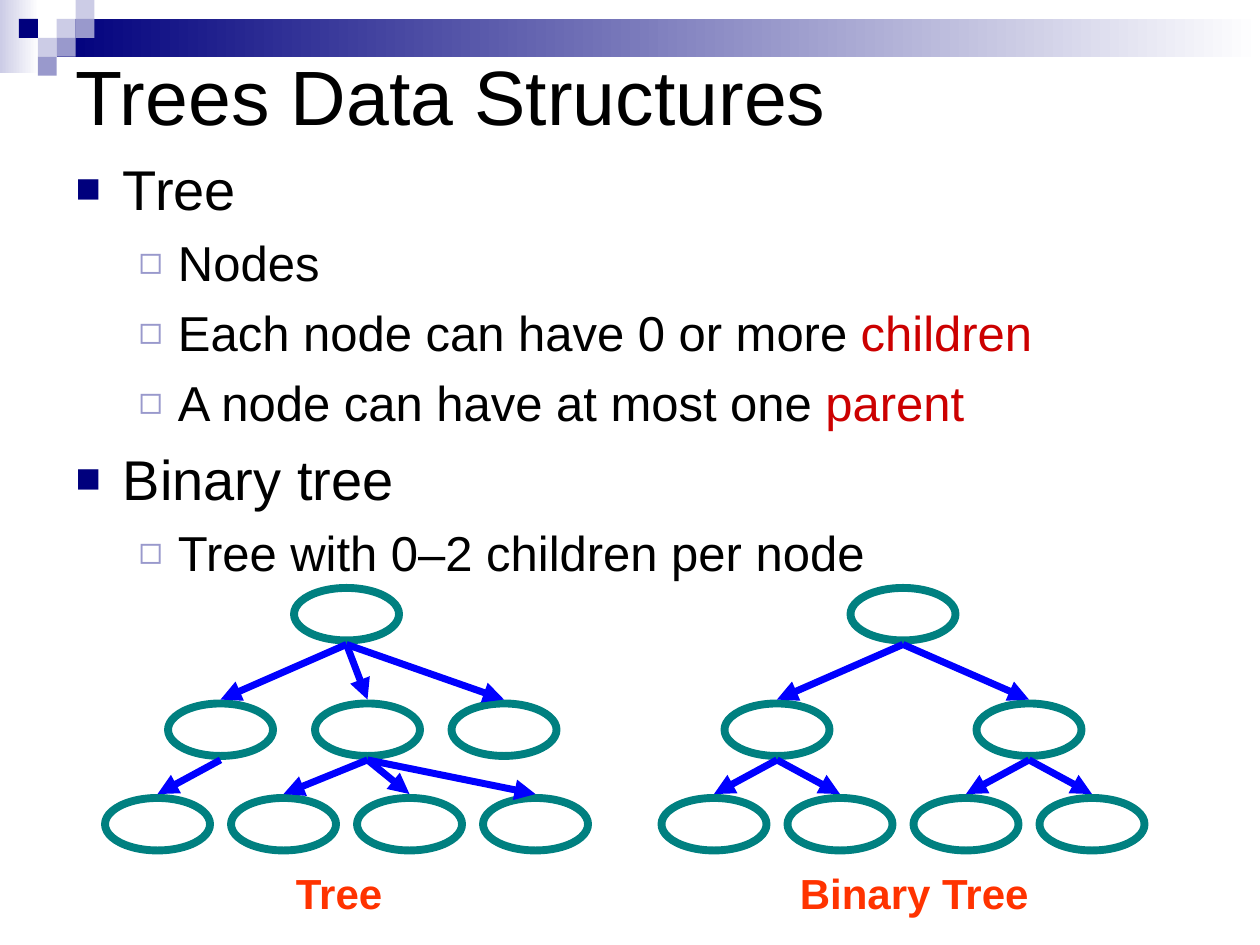
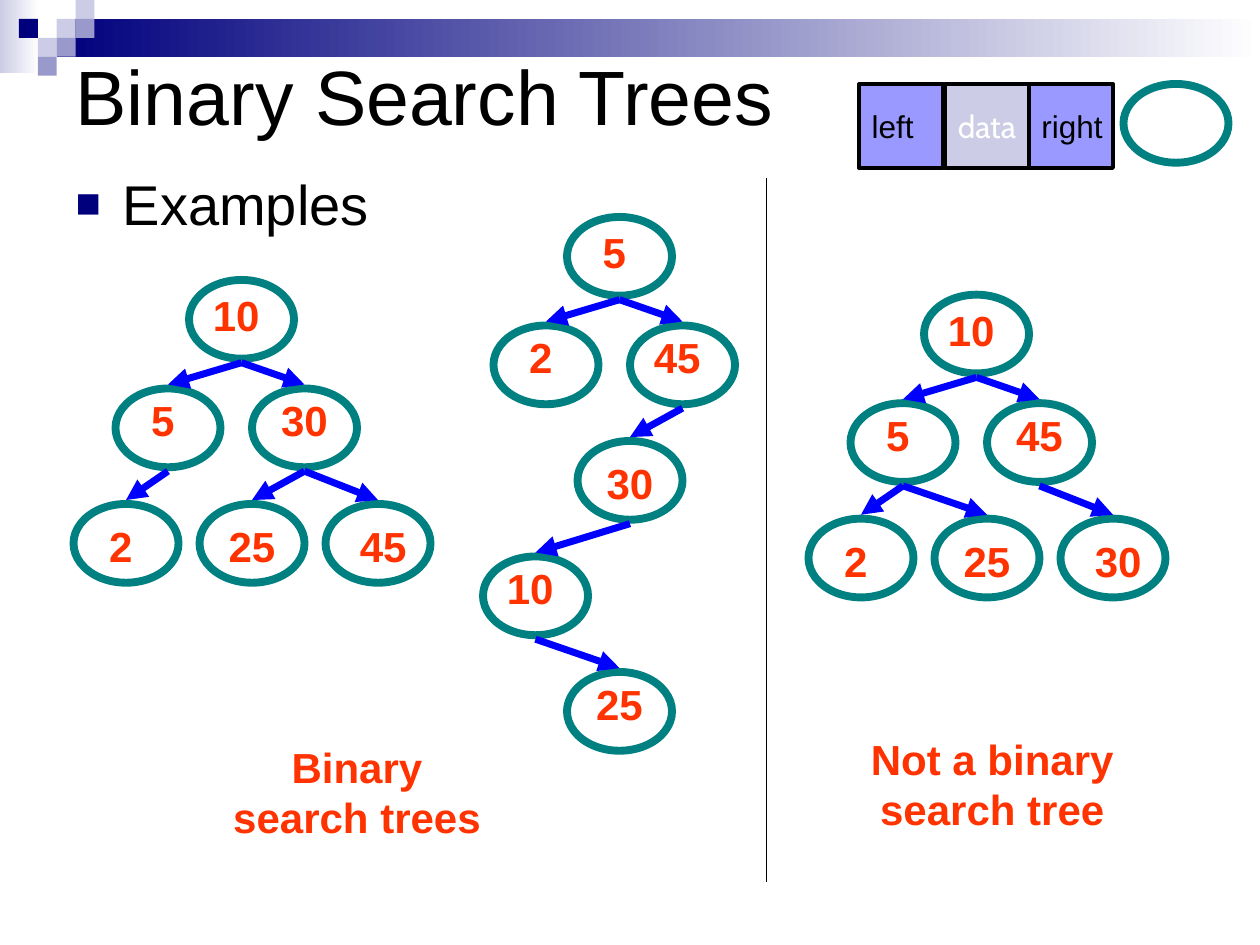
"""Build two slides that introduce trees and binary search trees."""
from lxml.etree import SubElement
from pptx import Presentation
from pptx.dml.color import RGBColor
from pptx.enum.shapes import MSO_CONNECTOR, MSO_SHAPE
from pptx.enum.text import MSO_ANCHOR, MSO_AUTO_SIZE, PP_ALIGN
from pptx.oxml.ns import qn
from pptx.util import Pt

NAVY, LILAC, PALE, WHITE, BLACK = "00007D", "9999CC", "CCCCE6", "FFFFFF", "000000"
TEAL, BLUE, ORANGE, RED, VIOLET = "008080", "0000FF", "FF3300", "CC0000", "9999FF"

TITLE = {"size": Pt(44), "name": "Arial", "bold": False}
CAPTION = {"size": Pt(24), "name": "Arial", "bold": True}
FIELD = {"size": Pt(18), "name": "Arial", "bold": False}
LEVELS = [
    {"size": 32, "margin": 27, "indent": -27, "before": 7.4,
     "bullet": "■", "bullet_color": NAVY, "bullet_size": 75},
    {"size": 28, "margin": 58.5, "indent": -22.5, "before": 6.4,
     "bullet": "◻", "bullet_color": LILAC, "bullet_size": 80},
]


def paint(fill, *colors):
    """Give a fill no colour, one colour or a left-to-right gradient."""
    if not colors:
        fill.background()
    elif len(colors) == 1:
        fill.solid()
        fill.fore_color.rgb = RGBColor.from_string(colors[0])
    else:
        fill.gradient()
        fill.gradient_angle = 0
        for stop, color in zip(fill.gradient_stops, colors):
            stop.color.rgb = RGBColor.from_string(color)


def write(paragraph, text, color, style):
    """Add a run with the given font style."""
    run = paragraph.add_run()
    run.text = text
    for attribute, value in style.items():
        setattr(run.font, attribute, value)
    paint(run.font.fill, color)


prs = Presentation()
prs.slide_width, prs.slide_height = Pt(720), Pt(540)
layout = prs.slide_layouts[1]

contents = [
    ("Trees Data Structures", 81, [
        (0, [("Tree", BLACK)]),
        (1, [("Nodes", BLACK)]),
        (1, [("Each node can have 0 or more ", BLACK), ("children", RED)]),
        (1, [("A node can have at most one ", BLACK), ("parent", RED)]),
        (0, [("Binary tree", BLACK)]),
        (1, [("Tree with 0–2 children per node", BLACK)]),
    ]),
    ("Binary Search Trees", 90, [(0, [("Examples", BLACK)])]),
]

slides = []
for heading, body_top, items in contents:
    slide = prs.slides.add_slide(layout)
    slides.append(slide)
    title, body = slide.placeholders
    for holder, top, height in ((title, 0, 108), (body, body_top, 356.4)):
        holder.left, holder.top = Pt(36), Pt(top)
        holder.width, holder.height = Pt(648), Pt(height)
        holder.text_frame.auto_size = MSO_AUTO_SIZE.NONE
        holder.text_frame.word_wrap = True
    title.text_frame.vertical_anchor = MSO_ANCHOR.MIDDLE
    title.text_frame.paragraphs[0].alignment = PP_ALIGN.LEFT
    write(title.text_frame.paragraphs[0], heading, BLACK, TITLE)
    body.text_frame.margin_top = Pt(7)
    for index, (depth, runs) in enumerate(items):
        level = LEVELS[depth]
        item = body.text_frame.add_paragraph() if index else body.text_frame.paragraphs[0]
        item.level = depth
        properties = item._p.get_or_add_pPr()
        properties.set("marL", str(Pt(level["margin"])))
        properties.set("indent", str(Pt(level["indent"])))
        bullet_color = SubElement(properties, qn("a:buClr"))
        SubElement(bullet_color, qn("a:srgbClr"), val=level["bullet_color"])
        SubElement(properties, qn("a:buSzPct"), val=str(level["bullet_size"] * 1000))
        SubElement(properties, qn("a:buFont"), typeface="Arial")
        SubElement(properties, qn("a:buChar"), char=level["bullet"])
        item.space_before = Pt(level["before"] if index else 0)
        for text, color in runs:
            write(item, text, color, {"size": Pt(level["size"]), "name": "Arial"})

STEP = 10.8
header = [(0, 0, 22.3, 41.8, (PALE, WHITE)), (32.4, STEP, 687.6, 21.6, (NAVY, WHITE))]
header += [(column * STEP, row * STEP, STEP, STEP, (color,)) for column, row, color in (
    (3, 1, PALE), (4, 0, PALE), (4, 1, LILAC), (2, 2, PALE),
    (1, 1, NAVY), (3, 2, LILAC), (2, 3, LILAC))]
for left, top, width, height, colors in header:
    tile = slides[0].shapes.add_shape(
        MSO_SHAPE.RECTANGLE, Pt(left), Pt(top), Pt(width), Pt(height))
    tile.shadow.inherit = False
    paint(tile.fill, *colors)
    paint(tile.line.fill)
    layout.shapes._spTree.append(tile._element)

overview, examples = slides
search_spots = [(108, 160), (66, 222), (144, 222), (42, 288), (114, 288), (186, 288)]
shifted_spots = [(x + 420, y + 8.4) for x, y in search_spots]
search_labels = [(6, 2, 42), (12, 0, 30), (6, 0, 48), (12, 6, 30), (6, 6, 48), (12, 6, 42)]
chain_spots = [(324, 124), (282, 186), (360, 186), (330, 252), (276, 318), (324, 384)]
chain_labels = [(12, 2, 30), (12, 0, 30), (6, 0, 42), (6, 6, 48), (6, 0, 42), (6, 0, 48)]
general_spots = [(168, 336), (96, 402), (180, 402), (258, 402)]
general_spots += [(60 + 72 * i, 456) for i in range(4)]
binary_spots = [(486, 336), (414, 402), (558, 402)]
binary_spots += [(378 + 72 * i, 456) for i in range(4)]

trees = [
    (overview, 30, binary_spots, [None, 0, 0, 1, 1, 2, 2], [], []),
    (overview, 30, general_spots, [None, 0, 0, 0, 1, 2, 2, 2], [], []),
    (examples, 45, search_spots, [None, 0, 0, 1, 2, 2],
     ["10", "5", "30", "2", "25", "45"], search_labels),
    (examples, 45, shifted_spots, [None, 0, 0, 1, 1, 2],
     ["10", "5", "45", "2", "25", "30"], search_labels),
    (examples, 45, chain_spots, [None, 0, 0, 2, 3, 4],
     ["5", "2", "45", "30", "10", "25"], chain_labels),
]
NODE_WIDTH, GAP = 60, 2.25
nodes = [(examples, 642, 48, 45)]
links = [(examples, 438, 102, 438, 504, BLACK, 1)]
captions = [
    (overview, 162, 492, 65.5, 36, "Tree", False),
    (overview, 450, 492, 147, 36, "Binary Tree", False),
    (examples, 120, 420, 168, 65, "Binary search trees", True),
    (examples, 474, 415.5, 186, 65, "Not a binary search tree", True),
]
for slide, node_height, spots, parents, values, label_offsets in trees:
    for (x, y), parent in zip(spots, parents):
        nodes.append((slide, x, y, node_height))
        if parent is not None:
            parent_x, parent_y = spots[parent]
            links.append((slide, parent_x + NODE_WIDTH / 2, parent_y + node_height + GAP,
                          x + NODE_WIDTH / 2, y - GAP, BLUE, 4))
    for (x, y), value, (dx, dy, width) in zip(spots, values, label_offsets):
        captions.append((slide, x + dx, y + dy, width, 36, value, True))

for slide, x, y, height in nodes:
    node = slide.shapes.add_shape(MSO_SHAPE.OVAL, Pt(x), Pt(y), Pt(NODE_WIDTH), Pt(height))
    node.shadow.inherit = False
    paint(node.fill)
    paint(node.line.fill, TEAL)
    node.line.width = Pt(4.5)

for slide, x1, y1, x2, y2, color, weight in links:
    link = slide.shapes.add_connector(
        MSO_CONNECTOR.STRAIGHT, Pt(x1), Pt(y1), Pt(x2), Pt(y2))
    paint(link.line.fill, color)
    link.line.width = Pt(weight)
    if color == BLUE:
        SubElement(link.line._get_or_add_ln(), qn("a:tailEnd"), type="triangle")
    SubElement(link._element.spPr, qn("a:effectLst"))

for slide, x, y, width, height, text, wraps in captions:
    caption = slide.shapes.add_textbox(Pt(x), Pt(y), Pt(width), Pt(height)).text_frame
    caption.word_wrap = wraps
    caption.paragraphs[0].alignment = PP_ALIGN.CENTER if wraps else PP_ALIGN.LEFT
    write(caption.paragraphs[0], text, ORANGE, CAPTION)

fields = [
    ("right", 588, VIOLET, BLACK, "Arial", PP_ALIGN.LEFT),
    ("data", 540, PALE, WHITE, "Cabin", PP_ALIGN.CENTER),
    ("left", 491, VIOLET, BLACK, "Arial", PP_ALIGN.LEFT),
]
for text, x, background, color, typeface, alignment in fields:
    field = examples.shapes.add_shape(MSO_SHAPE.RECTANGLE, Pt(x), Pt(48), Pt(48), Pt(48))
    field.shadow.inherit = False
    paint(field.fill, background)
    paint(field.line.fill, BLACK)
    field.line.width = Pt(2.25)
    field.text_frame.word_wrap = False
    field.text_frame.vertical_anchor = MSO_ANCHOR.MIDDLE
    field.text_frame.paragraphs[0].alignment = alignment
    write(field.text_frame.paragraphs[0], text, color, FIELD | {"name": typeface})

prs.save("out.pptx")
